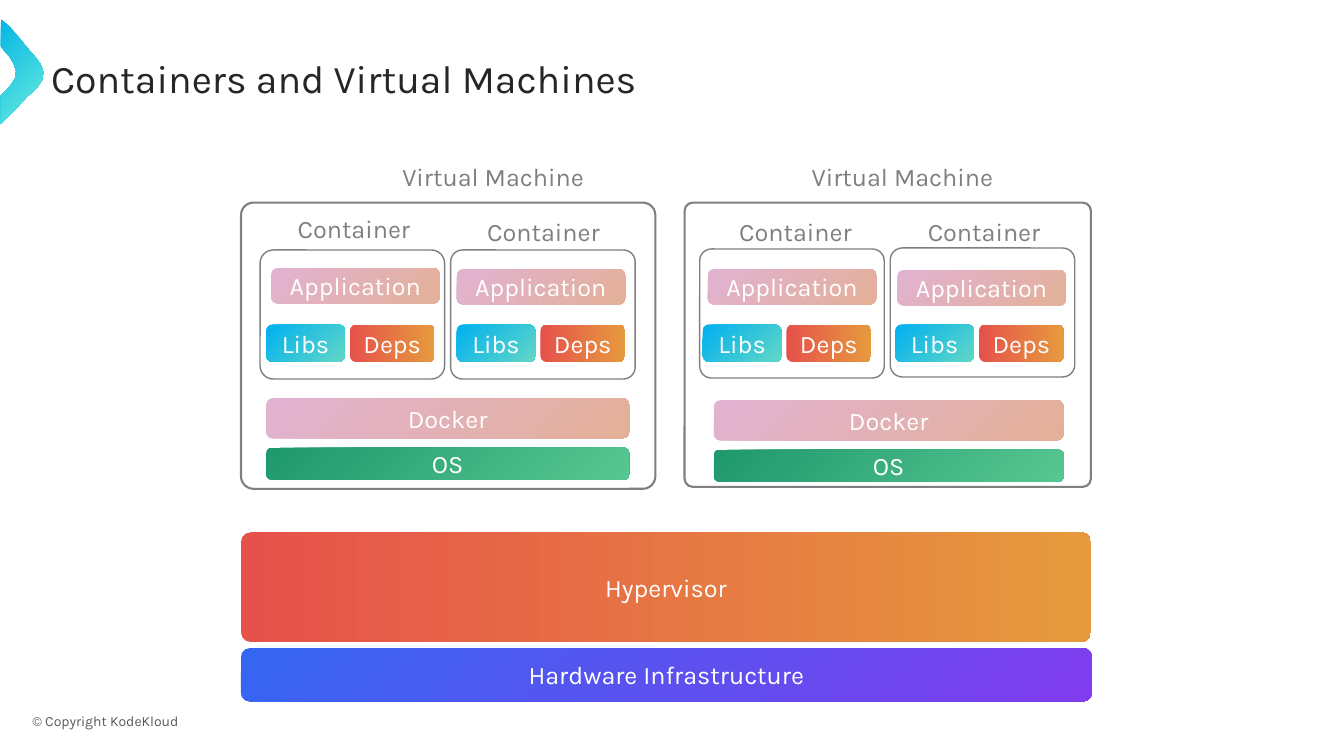
from dataclasses import dataclass
from typing import Optional

from pptx import Presentation
from pptx.dml.color import RGBColor
from pptx.enum.shapes import MSO_SHAPE
from pptx.enum.text import MSO_ANCHOR, PP_ALIGN
from pptx.util import Inches, Pt

FONT = "Karla"
GRAY = "7F7F7F"
WHITE = "FFFFFF"


@dataclass(frozen=True)
class Gradient:
    start: str
    end: str
    angle: int = 315  # counter-clockwise; 315 runs to the lower right


@dataclass(frozen=True)
class Box:
    left: float
    top: float
    width: float
    height: float
    text: str = ""
    gradient: Optional[Gradient] = None
    outline: float = 0
    corner: float = 0.167
    centered: bool = True


@dataclass(frozen=True)
class Container:
    frame_left: float
    frame_top: float
    corner: float
    label_left: float
    label_top: float
    application_left: float
    application_top: float
    libs_left: float


@dataclass(frozen=True)
class VirtualMachine:
    left: float
    width: float
    height: float
    corner: float
    label_left: float
    layer_left: float
    layer_width: float
    docker_top: float
    containers: tuple[Container, ...]


PINK = Gradient("E1B2D2", "E3B098")
CYAN = Gradient("00B0F0", "62D7C7")
ORANGE = Gradient("E6514B", "E69A3D", 0)
GREEN = Gradient("1F986D", "57C791")
VIOLET = Gradient("3566F1", "813DED")
TURQUOISE = Gradient("05B5E5", "69EEDE")

MACHINES = (
    VirtualMachine(2.39, 4.11, 2.84, 0.044, 3.87, 2.64, 3.6, 3.95, (
        Container(2.58, 2.48, 0.102, 2.72, 2.05, 2.69, 2.66, 2.64),
        Container(4.47, 2.48, 0.091, 4.6, 2.07, 4.53, 2.67, 4.53),
    )),
    VirtualMachine(6.79, 4.03, 2.82, 0.029, 7.93, 7.08, 3.47, 3.97, (
        Container(6.94, 2.47, 0.091, 7.1, 2.07, 7.02, 2.67, 6.97),
        Container(8.83, 2.46, 0.094, 8.97, 2.08, 8.9, 2.68, 8.88),
    )),
)

# Outline points in hundredths of an inch
CHEVRON = (
    (1, 19), (9, 26), (16, 34), (30, 51), (37, 59), (41, 65), (43, 72),
    (42, 79), (36, 88), (28, 95), (1, 123), (1, 95), (9, 87), (15, 78),
    (16, 71), (14, 64), (10, 57), (4, 50), (1, 46),
)


def color(value: str) -> RGBColor:
    return RGBColor.from_string(value)


def fill_gradient(shape, gradient: Gradient) -> None:
    shape.fill.gradient()
    shape.fill.gradient_angle = gradient.angle
    for stop, value in zip(shape.fill.gradient_stops, (gradient.start, gradient.end)):
        stop.color.rgb = color(value)


def write_text(shape, text: str, size: float, text_color: str, centered: bool):
    shape.text_frame.word_wrap = True
    paragraph = shape.text_frame.paragraphs[0]
    paragraph.alignment = PP_ALIGN.CENTER if centered else PP_ALIGN.LEFT
    run = paragraph.add_run()
    run.text = text
    run.font.name = FONT
    run.font.size = Pt(size)
    run.font.color.rgb = color(text_color)
    return paragraph


def draw_box(slide, box: Box) -> None:
    shape = slide.shapes.add_shape(
        MSO_SHAPE.ROUNDED_RECTANGLE, Inches(box.left), Inches(box.top),
        Inches(box.width), Inches(box.height))
    shape.shadow.inherit = False
    shape.adjustments[0] = box.corner
    if box.gradient:
        fill_gradient(shape, box.gradient)
    else:
        shape.fill.background()
    if box.outline:
        shape.line.color.rgb = color(GRAY)
        shape.line.width = Pt(box.outline)
    else:
        shape.line.fill.background()
    if box.text:
        write_text(shape, box.text, 18, WHITE if box.gradient else GRAY, box.centered)
        shape.text_frame.vertical_anchor = (
            MSO_ANCHOR.MIDDLE if box.gradient else MSO_ANCHOR.TOP)


def draw_container(slide, container: Container) -> None:
    libs_left = container.libs_left
    for box in (
        Box(container.frame_left, container.frame_top, 1.83, 1.28,
            outline=1, corner=container.corner),
        Box(container.label_left, container.label_top, 1.58, 0.45, "Container"),
        Box(container.application_left, container.application_top, 1.67, 0.35,
            "Application", PINK),
        Box(libs_left, 3.22, 0.78, 0.37, "Libs", CYAN),
        Box(libs_left + 0.83, 3.22, 0.84, 0.37, "Deps", ORANGE),
    ):
        draw_box(slide, box)


def draw_machine(slide, machine: VirtualMachine) -> None:
    for box in (
        Box(machine.left, 2.01, machine.width, machine.height,
            outline=1.5, corner=machine.corner),
        Box(machine.label_left, 1.53, 2.27, 0.45, "Virtual Machine", centered=False),
        Box(machine.layer_left, machine.docker_top, machine.layer_width, 0.4,
            "Docker", PINK),
        Box(machine.layer_left, machine.docker_top + 0.49, machine.layer_width, 0.32,
            "OS", GREEN),
    ):
        draw_box(slide, box)
    for container in machine.containers:
        draw_container(slide, container)


def draw_chevron(slide) -> None:
    builder = slide.shapes.build_freeform(*CHEVRON[0], scale=Inches(0.01))
    builder.add_line_segments(CHEVRON[1:], close=True)
    shape = builder.convert_to_shape()
    shape.shadow.inherit = False
    fill_gradient(shape, TURQUOISE)
    shape.line.fill.background()


def add_label(slide, left: float, top: float, width: float, height: float,
              text: str, size: float, text_color: str, centered: bool):
    shape = slide.shapes.add_textbox(
        Inches(left), Inches(top), Inches(width), Inches(height))
    shape.text_frame.vertical_anchor = MSO_ANCHOR.MIDDLE
    return write_text(shape, text, size, text_color, centered)


def main() -> None:
    presentation = Presentation()
    presentation.slide_width = Inches(13.33)
    presentation.slide_height = Inches(7.5)
    slide = presentation.slides.add_slide(presentation.slide_layouts[6])

    # Title, side ornament and footer
    draw_chevron(slide)
    title = add_label(slide, 0.41, 0.4, 12.52, 0.81,
                      "Containers and Virtual Machines", 28, "262626", False)
    title.line_spacing = 0.9
    add_label(slide, 0.18, 7.02, 1.73, 0.27, "© Copyright KodeKloud", 10, "595959", True)

    # Virtual machines with their containers
    for machine in MACHINES:
        draw_machine(slide, machine)

    # Shared base layers
    draw_box(slide, Box(2.39, 5.28, 8.43, 1.09, "Hypervisor", ORANGE, corner=0.09))
    draw_box(slide, Box(2.39, 6.43, 8.44, 0.53, "Hardware Infrastructure", VIOLET))

    presentation.save("out.pptx")


if __name__ == "__main__":
    main()
